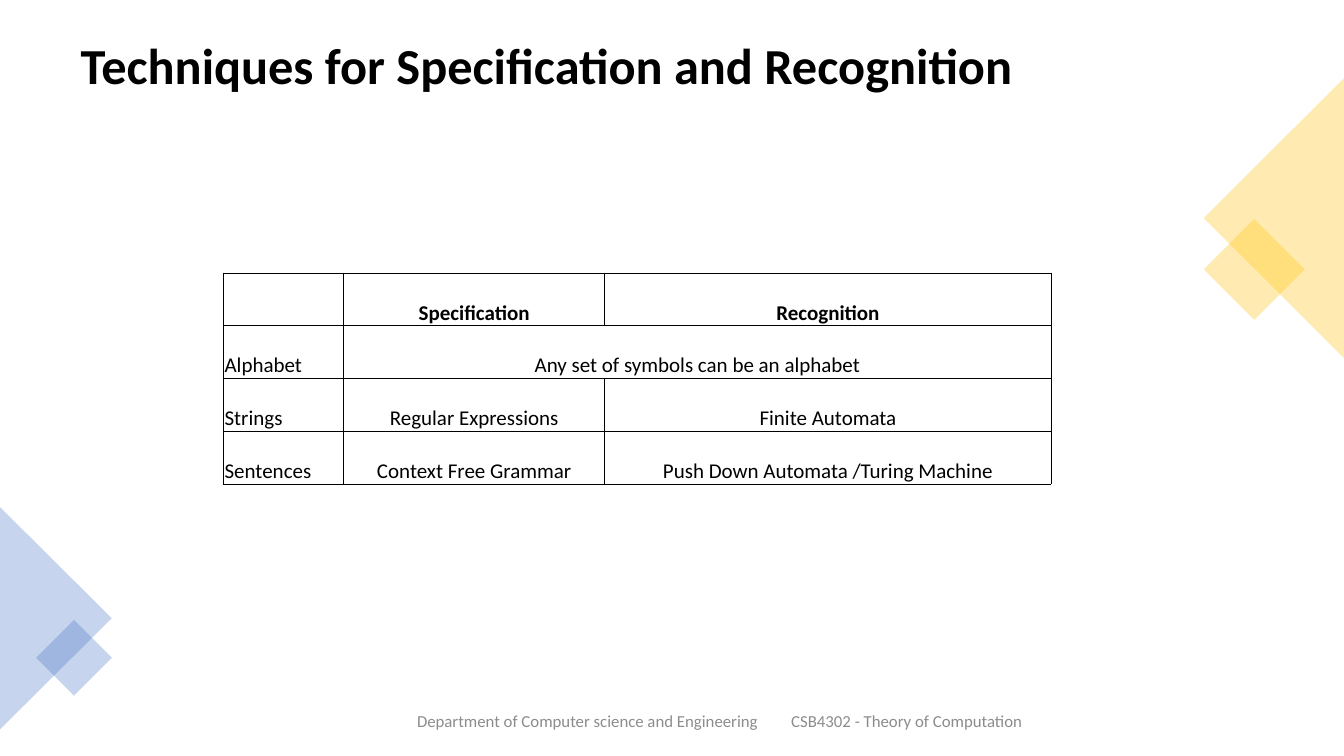
from lxml.etree import SubElement
from pptx import Presentation
from pptx.dml.color import RGBColor
from pptx.enum.shapes import MSO_SHAPE as Shape
from pptx.enum.text import MSO_ANCHOR as Anchor, MSO_AUTO_SIZE as AutoSize, PP_ALIGN as Align
from pptx.oxml.ns import qn
from pptx.util import Cm, Pt

BLACK = RGBColor(0x00, 0x00, 0x00)
GREY = RGBColor(0x8C, 0x8C, 0x8C)
GOLD = RGBColor(0xFF, 0xC0, 0x00)
BLUE = RGBColor(0x44, 0x72, 0xC4)

TITLE = "Techniques for Specification and Recognition"
FOOTER = "Department of Computer science and Engineering\tCSB4302 - Theory of Computation"
ROWS = [
    ["", "Specification", "Recognition"],
    ["Alphabet", "Any set of symbols can be an alphabet", None],
    ["Strings", "Regular Expressions", "Finite Automata"],
    ["Sentences", "Context Free Grammar", "Push Down Automata /Turing Machine"],
]
DIAMONDS = [
    # shape, left, top, width, height, rotation, colour
    (Shape.RECTANGLE, 30.71, 5.89, 1.8, 1.8, 45, GOLD),
    (Shape.ISOSCELES_TRIANGLE, 28.58, 3.73, 7.04, 3.53, 270, GOLD),
    (Shape.ISOSCELES_TRIANGLE, -1.4, 14.17, 5.61, 2.82, 90, BLUE),
    (Shape.RECTANGLE, 1.19, 15.9, 1.35, 1.35, 45, BLUE),
]


class SlideBuilder:
    """Holds the style and the current slide."""
    font_name = "Calibri"
    opacity = 30
    border_width = Pt(0.5)

    def __init__(self, deck):
        self.page = deck.slides.add_slide(deck.slide_layouts[5])

    def apply(self, target, **values):
        for name, value in values.items():
            setattr(target, name, value)

    def fill_para(self, para, text, size, color, bold=False):
        para.text = text
        self.apply(para.font, name=self.font_name, size=Pt(size), bold=bold)
        para.font.color.rgb = color

    def title(self, text, left, top, width, height):
        box = self.page.shapes.title
        self.apply(box, left=Cm(left), top=Cm(top), width=Cm(width), height=Cm(height))
        self.apply(box.text_frame, auto_size=AutoSize.NONE, word_wrap=True,
                   vertical_anchor=Anchor.TOP, margin_top=Cm(0.15))
        para = box.text_frame.paragraphs[0]
        self.fill_para(para, text, 36, BLACK, bold=True)
        self.apply(para, alignment=Align.LEFT, line_spacing=0.9)

    def diamond(self, kind, left, top, width, height, rotation, color):
        shape = self.page.shapes.add_shape(kind, Cm(left), Cm(top), Cm(width), Cm(height))
        shape.shadow.inherit = False
        shape.rotation = rotation
        shape.line.fill.background()
        shape.fill.solid()
        shape.fill.fore_color.rgb = color
        tint = shape._element.spPr.find(f"{qn('a:solidFill')}/{qn('a:srgbClr')}")
        SubElement(tint, qn("a:alpha"), val=str(self.opacity * 1000))

    def footer(self, text, left, top, width, height, indent, tab):
        box = self.page.shapes.add_textbox(Cm(left), Cm(top), Cm(width), Cm(height))
        self.apply(box.text_frame, word_wrap=True, vertical_anchor=Anchor.MIDDLE,
                   margin_left=Cm(indent))
        para = box.text_frame.paragraphs[0]
        tabs = SubElement(para._p.get_or_add_pPr(), qn("a:tabLst"))
        SubElement(tabs, qn("a:tab"), pos=str(Cm(tab)), algn="l")
        self.fill_para(para, text, 12, GREY)
        self.apply(para, alignment=Align.LEFT, space_after=Pt(6))

    def border(self, cell):
        properties = cell._tc.get_or_add_tcPr()
        for index, side in enumerate(("lnL", "lnR", "lnT", "lnB")):
            line = properties.makeelement(qn(f"a:{side}"), {"w": str(self.border_width)})
            properties.insert(index, line)
            fill = SubElement(line, qn("a:solidFill"))
            SubElement(fill, qn("a:srgbClr"), val=str(BLACK))

    def table(self, rows, left, top, widths, row_height):
        frame = self.page.shapes.add_table(len(rows), len(widths), Cm(left), Cm(top),
                                           Cm(sum(widths)), Cm(row_height * len(rows)))
        table = frame.table
        self.apply(table, first_row=False, horz_banding=False)
        for column, width in zip(table.columns, widths):
            column.width = Cm(width)
        for r, texts in enumerate(rows):
            table.rows[r].height = Cm(row_height)
            for c, text in enumerate(texts):
                cell = table.cell(r, c)
                self.apply(cell, vertical_anchor=Anchor.BOTTOM, margin_left=Cm(0.02),
                           margin_right=Cm(0.02), margin_top=Cm(0.02), margin_bottom=0)
                cell.fill.background()
                self.border(cell)
                if text is None:  # joined to the cell on its left
                    table.cell(r, c - 1).merge(cell)
                    continue
                para = cell.text_frame.paragraphs[0]
                self.fill_para(para, text, 15, BLACK, bold=r == 0)
                para.alignment = Align.CENTER if c else Align.LEFT


def main():
    deck = Presentation()
    deck.slide_width, deck.slide_height = Cm(33.87), Cm(19.05)
    slide = SlideBuilder(deck)

    # Title
    slide.title(TITLE, 1.78, 0.89, 30.3, 3.15)

    # Corner decoration
    for diamond in DIAMONDS:
        slide.diamond(*diamond)

    # Footer
    slide.footer(FOOTER, 5.97, 17.65, 24.36, 1.02, indent=4.54, tab=9.43)

    # Table of techniques
    slide.table(ROWS, 5.64, 6.88, widths=[3.02, 6.58, 11.25], row_height=1.33)

    deck.save("out.pptx")


if __name__ == "__main__":
    main()
